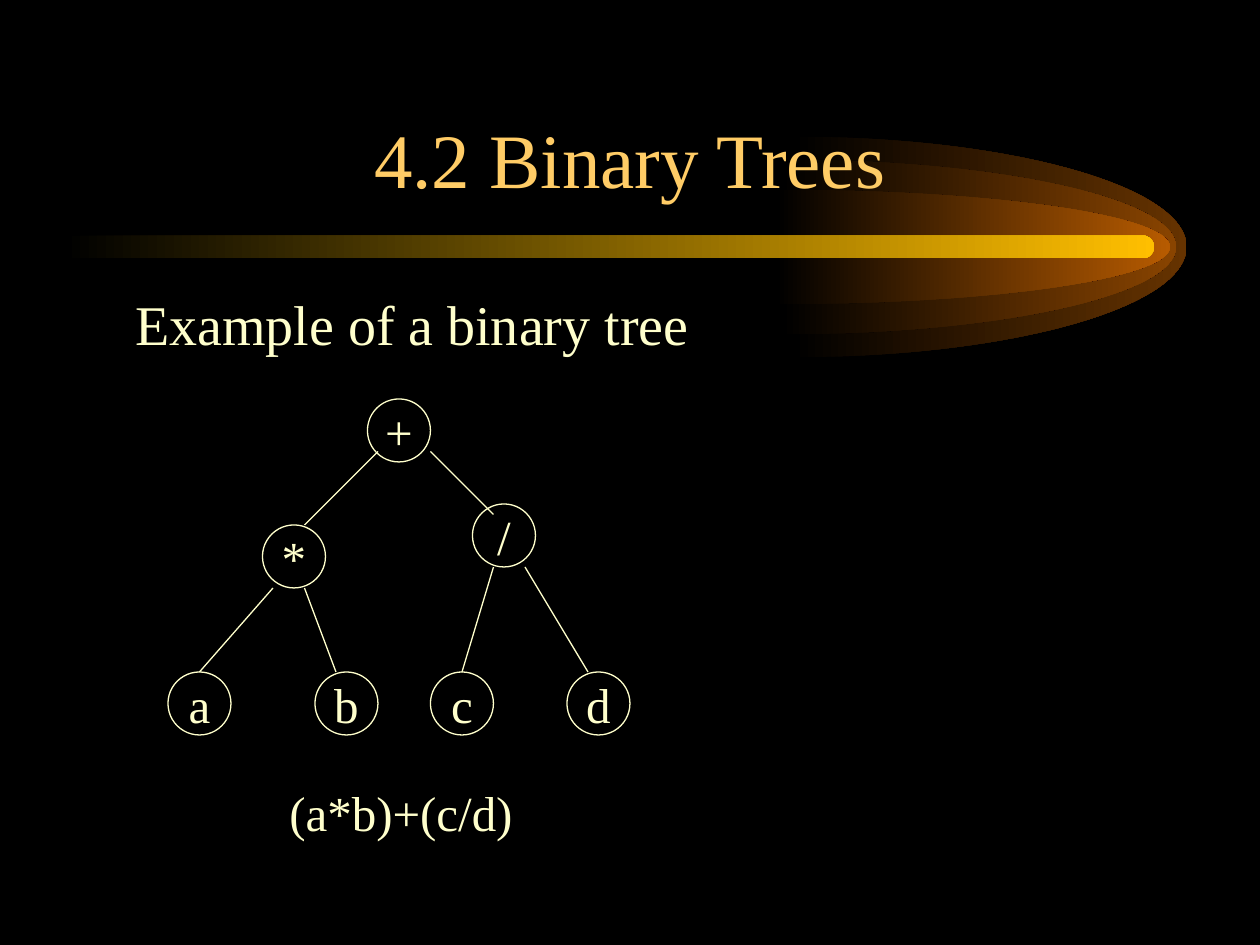
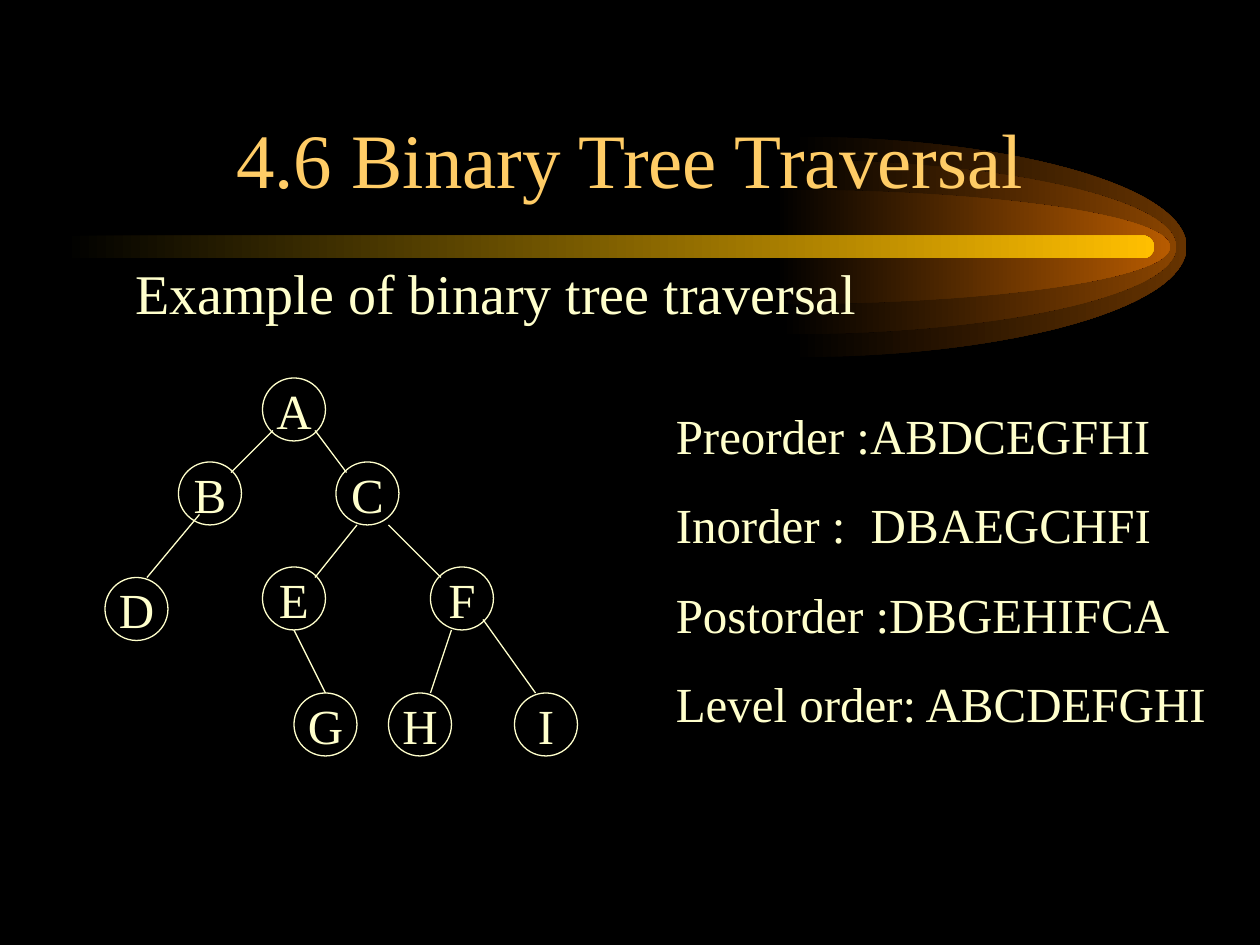
import pptx
import pptx.util
import pptx.dml.color
import pptx.enum.shapes
import pptx.enum.text
import pptx.oxml.ns
import lxml.etree

Pt = pptx.util.Pt
RGBColor = pptx.dml.color.RGBColor
SHAPE = pptx.enum.shapes.MSO_SHAPE
ANCHOR = pptx.enum.text.MSO_ANCHOR
ALIGN = pptx.enum.text.PP_ALIGN
qn = pptx.oxml.ns.qn

BLACK = RGBColor(0x00, 0x00, 0x00)
GOLD = RGBColor(0xFF, 0xCC, 0x66)
CREAM = RGBColor(0xFF, 0xFF, 0xCC)
AMBER = RGBColor(0xFF, 0xBF, 0x00)
BROWN = RGBColor(0x66, 0x33, 0x00)
RUST = RGBColor(0x89, 0x44, 0x00)
ORANGE = RGBColor(0xB7, 0x5B, 0x00)

FACE = "Times New Roman"
HEAD = {"name": FACE, "size": Pt(44)}
BODY = {"name": FACE, "size": Pt(32)}
NOTE = {"name": FACE, "size": Pt(28)}
GRID = 6
NODE = 6 * GRID
BEND = 0.55

FLAMES = [(18.5, 126, BROWN), (12.6, 100, RUST), (9.1, 65.5, ORANGE)]

SUM = {
    "nodes": [("+", 19, 0), ("*", 9, 12), ("/", 29, 10), ("a", 0, 26),
              ("b", 14, 26), ("c", 25, 26), ("d", 38, 26)],
    "edges": [(20, 5, 13, 12), (25, 5, 31, 11), (10, 18, 3, 26),
              (13, 18, 16, 26), (31, 16, 28, 26), (34, 16, 40, 26)],
}
WALK = {
    "nodes": [("A", 15, 0), ("B", 7, 8), ("C", 22, 8), ("D", 0, 19), ("E", 15, 18),
              ("F", 31, 18), ("I", 39, 30), ("H", 27, 30), ("G", 18, 30)],
    "edges": [(16, 5, 12, 9), (9, 13, 4, 19), (20, 5, 23, 9), (24, 14, 20, 19),
              (27, 14, 32, 19), (18, 24, 21, 30), (33, 24, 31, 30), (36, 23, 41, 30)],
}
ORDERS = ["Preorder :ABDCEGFHI", "Inorder :\tDBAEGCHFI",
          "Postorder :DBGEHIFCA", "Level order: ABCDEFGHI"]


def apply(target, style):
    for key, value in style.items():
        setattr(target, key, value)


def write(frame, lines, font, color=CREAM, align=ALIGN.LEFT, gap=0, indent=0, tab=None):
    for line in lines:
        first = not frame.text
        para = frame.paragraphs[0] if first else frame.add_paragraph()
        para.alignment = align
        if not first:
            para.space_before = Pt(gap)
        props = para._p.get_or_add_pPr()
        if indent:
            props.set("marL", str(Pt(indent)))
        if tab and "\t" in line:
            stops = lxml.etree.SubElement(props, qn("a:tabLst"))
            lxml.etree.SubElement(stops, qn("a:tab"), pos=str(Pt(tab)), algn="l")
        run = para.add_run()
        run.text = line
        apply(run.font, font)
        run.font.color.rgb = color


def label(slide, box, lines, font, inset=7.2, anchor=ANCHOR.TOP, **style):
    frame = slide.shapes.add_textbox(*map(Pt, box)).text_frame
    apply(frame, {"word_wrap": True, "vertical_anchor": anchor, "margin_left": Pt(inset)})
    write(frame, lines, font, **style)
    return frame


def glow(shape, color):
    shape.shadow.inherit = False
    shape.line.fill.background()
    shape.fill.gradient()
    shape.fill.gradient_angle = 0
    for stop, tone, place in zip(shape.fill.gradient_stops, (BLACK, color), (0, 1)):
        stop.position = place
        stop.color.rgb = tone


def flame(slide, left, middle, width, depth, color):
    half = depth / 2
    marks = [(0, -1), (BEND, -1), (1, -BEND), (1, 0), (1, BEND), (BEND, 1), (0, 1), (0, 0)]
    spots = [(Pt(left + x * width), Pt(middle + y * half)) for x, y in marks]
    maker = slide.shapes.build_freeform(*spots[0])
    maker.add_line_segments(spots[1:], close=True)
    shape = maker.convert_to_shape()
    steps = list(shape._element.iter(qn("a:lnTo")))
    for start in (0, 3):
        curve = lxml.etree.Element(qn("a:cubicBezTo"))
        steps[start].addprevious(curve)
        for step in steps[start:start + 3]:
            curve.append(step[0])
            step.getparent().remove(step)
    glow(shape, color)


def comet(slide, left, top, width, height):
    reach = 225.4
    for shift, depth, color in FLAMES:
        flame(slide, left + width - reach + shift, top + height / 2, reach, depth, color)
    bar = slide.shapes.add_shape(SHAPE.ROUNDED_RECTANGLE, *map(Pt, (left, top, width, height)))
    bar.adjustments[0] = 0.5
    glow(bar, AMBER)


def tree(slide, left, top, nodes, edges):
    def spot(col, row):
        return Pt(left + col * GRID), Pt(top + row * GRID)

    for name, col, row in nodes:
        node = slide.shapes.add_shape(SHAPE.OVAL, *spot(col, row), Pt(NODE), Pt(NODE))
        node.shadow.inherit = False
        node.fill.background()
        node.line.color.rgb = CREAM
        node.line.width = Pt(0.75)
        frame = node.text_frame
        apply(frame, {"word_wrap": False, "vertical_anchor": ANCHOR.MIDDLE,
                      "margin_left": 0, "margin_right": 0,
                      "margin_top": 0, "margin_bottom": 0})
        write(frame, [name], NOTE, align=ALIGN.CENTER)
    for col, row, end, base in edges:
        edge = slide.shapes.add_connector(pptx.enum.shapes.MSO_CONNECTOR.STRAIGHT,
                                          *spot(col, row), *spot(end, base))
        edge.line.color.rgb = CREAM
        edge.line.width = Pt(0.75)
        lxml.etree.SubElement(edge._element.spPr, qn("a:effectLst"))


def page(deck, title, lead, top, width):
    slide = deck.slides.add_slide(deck.slide_layouts[6])
    comet(slide, 36, 134.6, 623.5, 13)
    label(slide, (54, 30, 612, 90), [title], HEAD, color=GOLD,
          anchor=ANCHOR.BOTTOM, align=ALIGN.CENTER)
    frame = label(slide, (54, top, width, 486 - top), [lead], BODY, inset=23.2)
    return slide, frame


def main():
    deck = pptx.Presentation()
    apply(deck, {"slide_width": Pt(720), "slide_height": Pt(540)})
    back = deck.slide_master.background.fill
    back.solid()
    back.fore_color.rgb = BLACK

    slide, frame = page(deck, "4.2 Binary Trees", "Example of a binary tree", 162, 612)
    write(frame, ["(a*b)+(c/d)"], NOTE, gap=243.3, indent=88.2)
    tree(slide, 96, 228, **SUM)

    slide, frame = page(deck, "4.6 Binary Tree Traversal",
                        "Example of binary tree traversal", 144, 648)
    tree(slide, 60, 216, **WALK)
    label(slide, (372, 228, 330, 194.5), ORDERS, NOTE, inset=14.2, gap=17.5, tab=111.4)

    deck.save("out.pptx")


if __name__ == "__main__":
    main()
